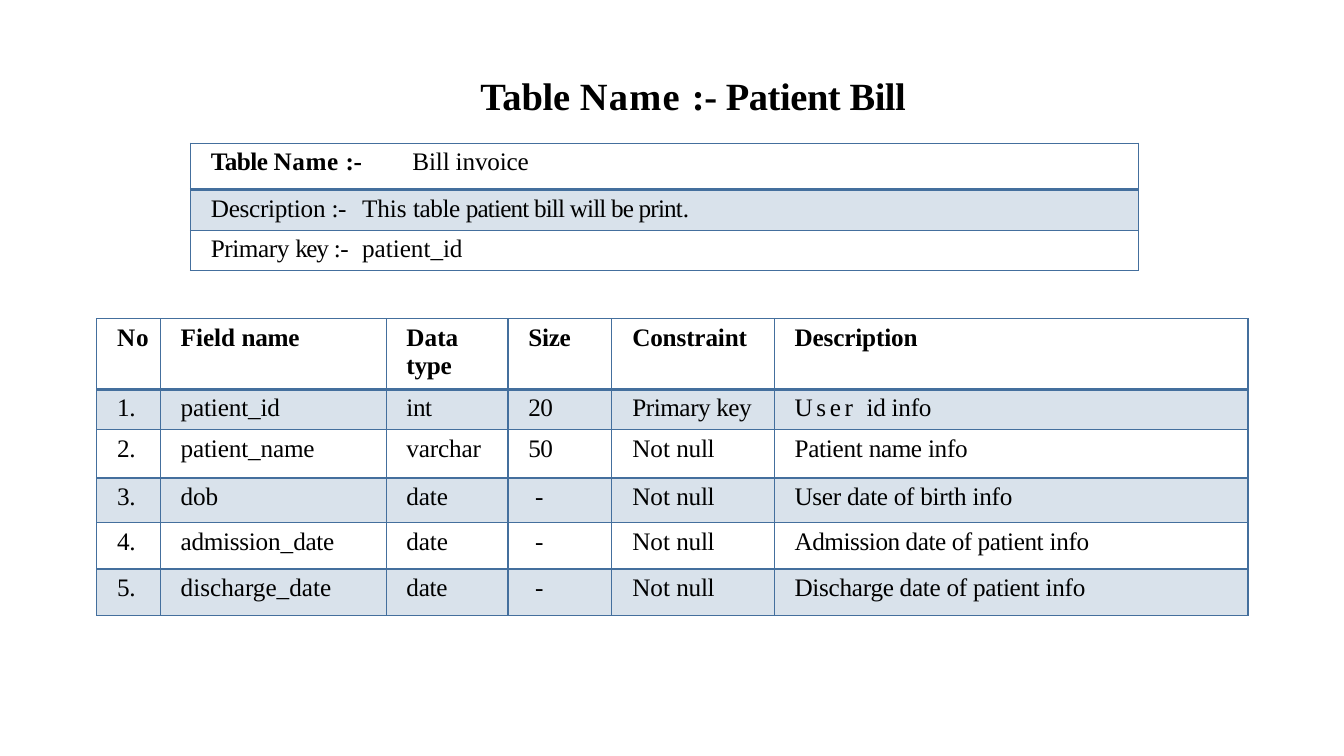
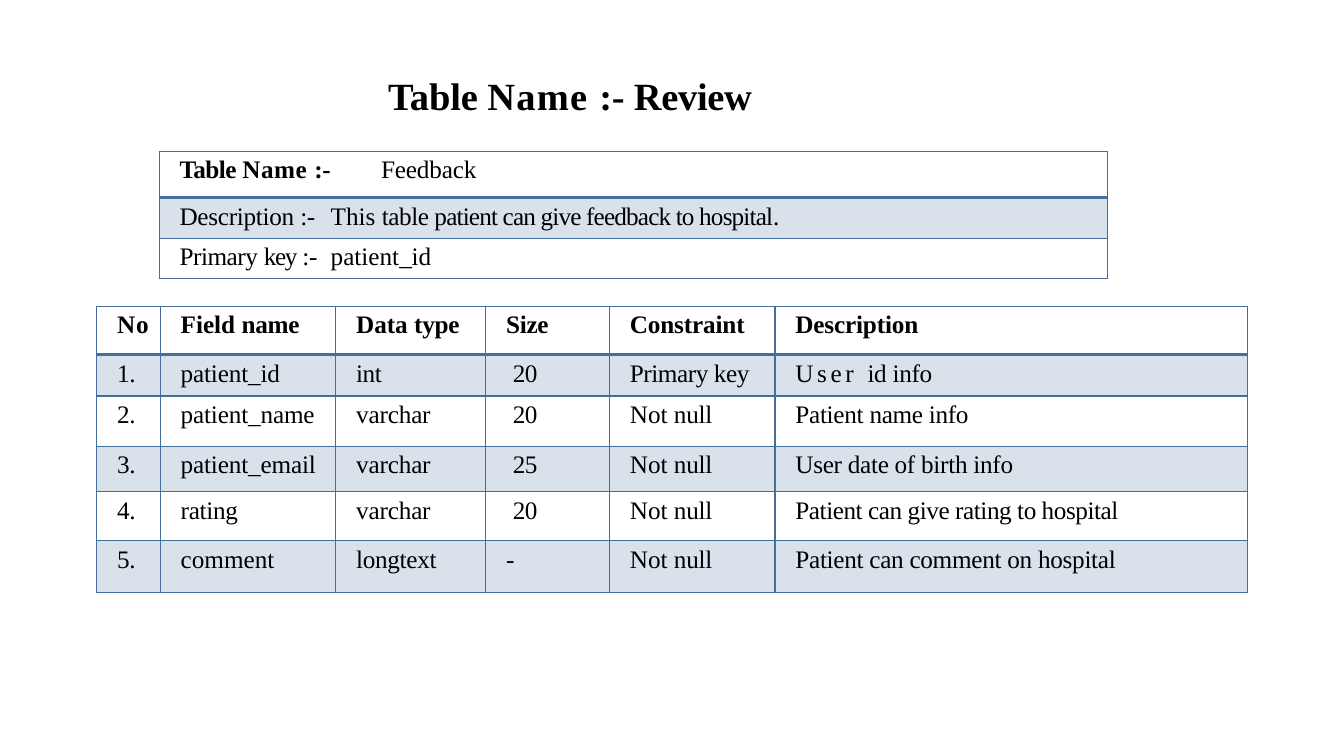
from lxml.etree import SubElement
from pptx import Presentation
from pptx.dml.color import RGBColor
from pptx.oxml.ns import qn
from pptx.util import Cm, Pt

COLORS = {"ink": "000000", "line": "446F9D", "band": "446F9D"}
FONT = "Times New Roman"
TITLE_SIZE, TABLE_SIZE = 27.5, 18
THIN, THICK = 0.96, 2.21
BAND_OPACITY = 20
INDENT, DEEP_INDENT = 0.26, 0.43

# Runs are (text, letter spacing in points) pairs.
HEADERS = [
    [("No", 0.5)],
    [("Field ", 0), ("name", -0.2)],
    [("Data ", 0), ("type", -0.2)],
    [("Size", -0.2)],
    [("Constraint", -0.1)],
    [("Description", -0.1)],
]
PRIMARY_KEY = [("Primary key", -0.3)]
NOT_NULL = [("Not ", 0), ("null", -0.2)]
USER_ID = [("User ", 2.6), ("id info", -0.2)]
PATIENT_NAME = [("Patient ", -0.2), ("name ", -0.3), ("info", -0.2)]
BIRTH_DATE = [("User date of birth info", -0.2)]

BILL_FIELDS = [
    [[("patient_id", -0.1)], [("int", -0.3)], [("20", -0.3)], PRIMARY_KEY, USER_ID],
    [[("patient_name", -0.1)], [("varchar", -0.1)], [("50", -0.3)], NOT_NULL, PATIENT_NAME],
    [[("dob", -0.1)], [("date", -0.1)], [("-", -0.3)], NOT_NULL, BIRTH_DATE],
    [[("admission", -0.2), ("_", -0.8), ("date", -0.2)], [("date", -0.1)], [("-", -0.3)],
     NOT_NULL, [("Admission date of patient ", -0.3), ("info", -0.2)]],
    [[("discharge_date", 0)], [("date", -0.2)], [("-", -0.1)], NOT_NULL,
     [("Discharge date of patient info", -0.2)]],
]
REVIEW_FIELDS = [
    [[("patient_id", -0.1)], [("int", -0.3)], [("20", -0.3)], PRIMARY_KEY, USER_ID],
    [[("patient_name", -0.1)], [("varchar", -0.1)], [("20", -0.3)], NOT_NULL, PATIENT_NAME],
    [[("patient_email", -0.1)], [("varchar", -0.1)], [("25", -0.3)], NOT_NULL, BIRTH_DATE],
    [[("rating", -0.2)], [("varchar", -0.1)], [("20", -0.3)], NOT_NULL,
     [("Patient can give rating to hospital", -0.3)]],
    [[("comment", 0)], [("longtext", -0.2)], [("-", 0)], NOT_NULL,
     [("Patient can comment on hospital", -0.2)]],
]


def add_runs(paragraph, runs, size, bold=False):
    for text, spacing in runs:
        run = paragraph.add_run()
        run.text = text
        run.font.name = FONT
        run.font.size = Pt(size)
        run.font.bold = bold
        run.font.color.rgb = RGBColor.from_string(COLORS["ink"])
        run._r.get_or_add_rPr().set("spc", str(round(spacing * 100)))


def add_title(slide, left, name_runs):
    shape = slide.shapes.add_textbox(Cm(left), Cm(1.7), Cm(16.92), Cm(1.42))
    shape.text_frame.word_wrap = True
    runs = [("Table ", -0.1), ("Name ", 0.9), *name_runs]
    add_runs(shape.text_frame.paragraphs[0], runs, TITLE_SIZE, bold=True)


def set_indent(paragraph, indent, tab=None):
    properties = paragraph._p.get_or_add_pPr()
    properties.set("marL", str(Cm(indent)))
    properties.set("indent", "0")
    if tab:
        tabs = SubElement(properties, qn("a:tabLst"))
        SubElement(tabs, qn("a:tab"), pos=str(Cm(tab)), algn="l")


def add_solid_fill(parent, color):
    fill = SubElement(parent, qn("a:solidFill"))
    return SubElement(fill, qn("a:srgbClr"), val=COLORS[color])


def style_cell(cell, row):
    """Draw the borders, thick below the header row, and tint every other row."""
    properties = cell._tc.get_or_add_tcPr()
    widths = {"lnL": THIN, "lnR": THIN,
              "lnT": THICK if row == 1 else THIN,
              "lnB": THICK if row == 0 else THIN}
    for side, width in widths.items():
        line = SubElement(properties, qn(f"a:{side}"), w=str(Pt(width)))
        add_solid_fill(line, "line")
    if row % 2:
        color = add_solid_fill(properties, "band")
        SubElement(color, qn("a:alpha"), val=str(BAND_OPACITY * 1000))
    else:
        cell.fill.background()


def add_grid(slide, left, top, widths, heights):
    frame = slide.shapes.add_table(len(heights), len(widths), Cm(left), Cm(top),
                                   Cm(sum(widths)), Cm(sum(heights)))
    table = frame.table
    table.first_row = table.horz_banding = False
    for column, width in zip(table.columns, widths):
        column.width = Cm(width)
    for index, (row, height) in enumerate(zip(table.rows, heights)):
        row.height = Cm(height)
        for cell in row.cells:
            style_cell(cell, index)
    return table


def add_summary_table(slide, left, top, name, description):
    table = add_grid(slide, left, top, [23.9], [1.17, 1.02, 1.02])
    rows = [
        (6.83, [("Table ", -0.4), ("Name ", 0.4), (":-\t", -0.3)], [(name, -0.1)]),
        (6.83, [("Description ", -0.2), (":-", -0.3)],
         [("\tThis ", 0), ("table", -0.3), (description, -0.6), (".", -0.1)]),
        (6.88, [("Primary ", -0.3), ("key ", -1), (":-", -0.3)],
         [("\tpatient", 0), ("_id", -0.1)]),
    ]
    for index, (tab, label, value) in enumerate(rows):
        paragraph = table.cell(index, 0).text_frame.paragraphs[0]
        set_indent(paragraph, INDENT, tab)
        add_runs(paragraph, label, TABLE_SIZE, bold=index == 0)
        add_runs(paragraph, value, TABLE_SIZE)


def add_field_table(slide, top, widths, heights, fields, deep_rows):
    """Number the fields; deep_rows have their size set further in."""
    table = add_grid(slide, 2.44, top, widths, heights)
    numbered = [[[(f"{number}.", -0.3)], *field] for number, field in enumerate(fields, 1)]
    for row, cells in enumerate([HEADERS, *numbered]):
        for column, runs in enumerate(cells):
            paragraph = table.cell(row, column).text_frame.paragraphs[0]
            deep = column == 3 and row in deep_rows
            set_indent(paragraph, DEEP_INDENT if deep else INDENT)
            add_runs(paragraph, runs, TABLE_SIZE, bold=row == 0)


def add_bill_slide(slide):
    add_title(slide, 11.86, [(":- Patient Bill", -0.3)])
    add_summary_table(slide, 4.8, 3.61, "Bill invoice", " patient bill will be print")
    add_field_table(slide, 8.03, [1.6, 5.69, 3.07, 2.62, 4.09, 11.94],
                    [1.78, 0.99, 1.22, 1.12, 1.17, 1.17], BILL_FIELDS, deep_rows=(3, 4, 5))


def add_review_slide(slide):
    add_title(slide, 9.53, [(":- ", -0.3), ("Review", -0.2)])
    add_summary_table(slide, 4.01, 3.81, "Feedback", " patient can give feedback to hospital")
    add_field_table(slide, 7.72, [1.6, 4.42, 3.78, 3.12, 4.17, 11.91],
                    [1.22, 1.04, 1.27, 1.14, 1.24, 1.3], REVIEW_FIELDS, deep_rows=(1, 2, 3, 4))


def main():
    presentation = Presentation()
    presentation.slide_width, presentation.slide_height = Cm(33.87), Cm(19.05)
    blank = presentation.slide_layouts[6]
    for fill_slide in (add_bill_slide, add_review_slide):
        fill_slide(presentation.slides.add_slide(blank))
    presentation.save("out.pptx")


if __name__ == "__main__":
    main()
